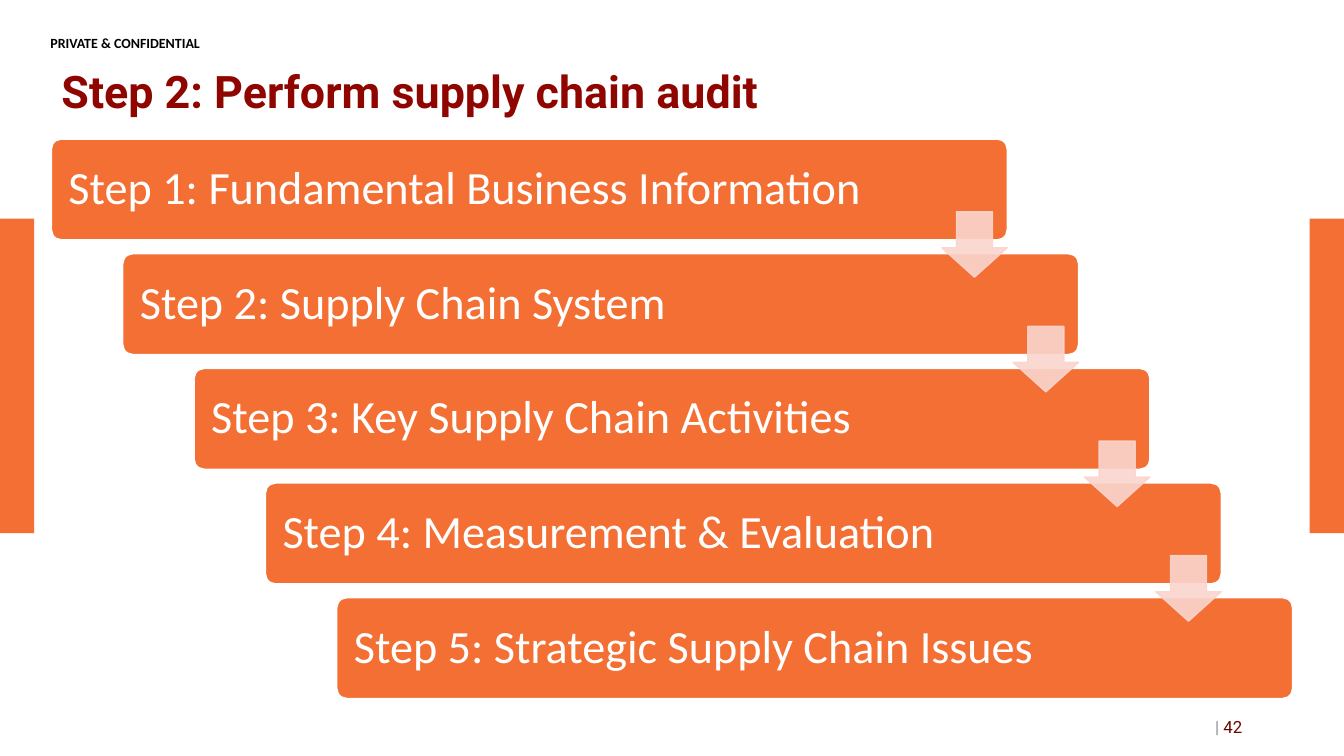
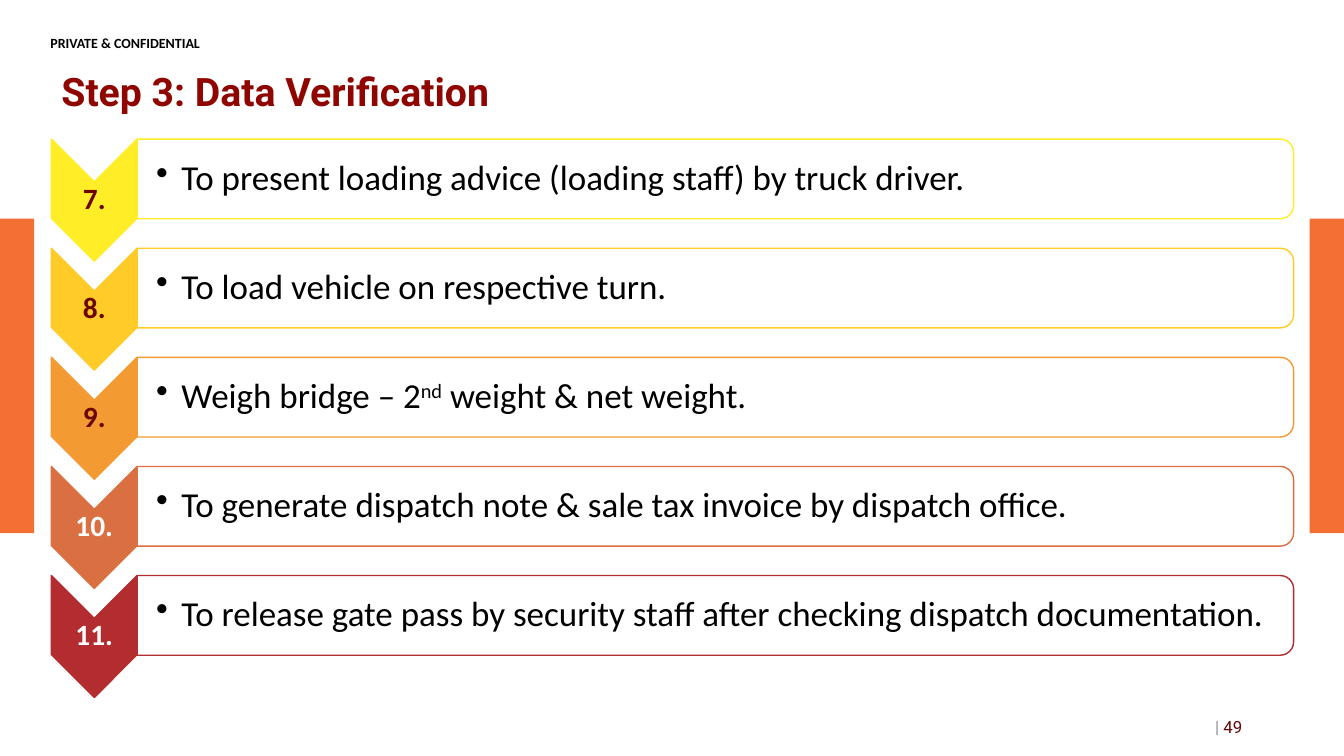
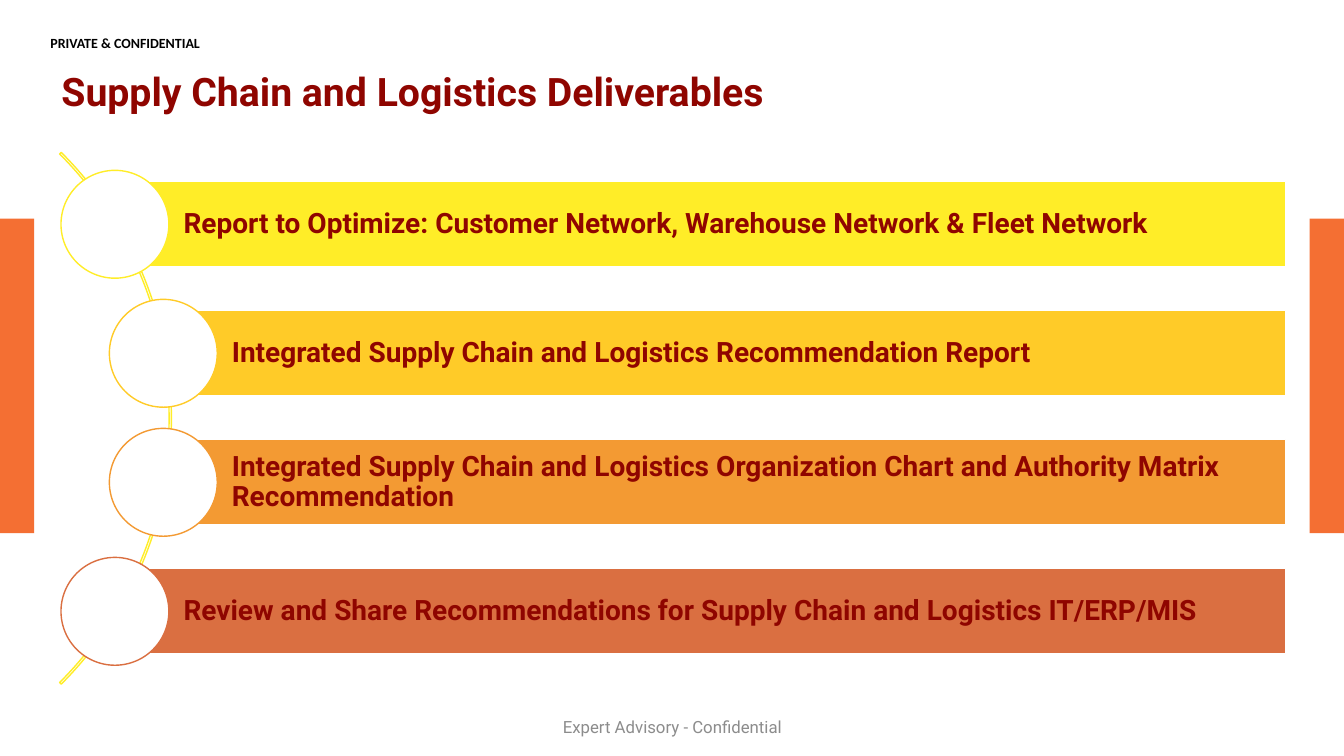
"""Build three supply chain slides that share one layout."""
import dataclasses
import typing

import lxml.etree
import pptx
import pptx.dml.color
import pptx.enum.shapes
import pptx.enum.text
import pptx.oxml.ns
import pptx.util

Inches = pptx.util.Inches
Pt = pptx.util.Pt
Kind = pptx.enum.shapes.MSO_SHAPE
Align = pptx.enum.text.PP_ALIGN
Anchor = pptx.enum.text.MSO_ANCHOR
qualify = pptx.oxml.ns.qn

WHITE, BLACK, GREY = "FFFFFF", "000000", "8C8C8C"
ORANGE, BAR_ORANGE, PINK = "F46F33", "F36F33", "FAD5CE"
RED, MAROON = "8F0500", "6A0500"
YELLOW, GOLD, AMBER, RUST, CRIMSON = "FFED28", "FFCB28", "F39A33", "DA6F41", "B22C30"

TITLE = {"name": "Roboto", "bold": True, "color": RED}
LABEL = {"name": "Calibri", "size": Pt(10), "bold": True, "color": BLACK}
FOOTER = {"name": "Roboto", "size": Pt(12), "color": GREY}
STEP = {"name": "Calibri", "size": Pt(33), "color": WHITE}
NUMBER = {"name": "Calibri", "size": Pt(21), "bold": True}
TASK = {"name": "Calibri", "size": Pt(25), "color": BLACK}
REPORT = {"name": "Roboto", "size": Pt(20), "bold": True, "color": RED}

TIGHT = {"line_spacing": 0.9}
CENTRED = {"line_spacing": 0.9, "alignment": Align.CENTER}


class Area(typing.NamedTuple):
    left: float
    top: float
    width: float
    height: float


class Span(typing.NamedTuple):
    text: str
    color: str = ""
    raised: bool = False


@dataclasses.dataclass
class Task:
    number: str
    spans: list[Span]
    color: str
    number_color: str = MAROON


@dataclasses.dataclass
class Deliverable:
    text: str
    left: float
    color: str


STEPS = [
    "Step 1: Fundamental Business Information",
    "Step 2: Supply Chain System",
    "Step 3: Key Supply Chain Activities",
    "Step 4: Measurement & Evaluation",
    "Step 5: Strategic Supply Chain Issues",
]
TASKS = [
    Task("7.", [Span("To present loading advice (loading staff) by truck driver.")], YELLOW),
    Task("8.", [Span("To load vehicle on respective turn.")], GOLD),
    Task("9.", [Span("Weigh bridge – 2"), Span("nd", raised=True),
                Span(" weight & net weight.")], AMBER),
    Task("10.", [Span("To generate dispatch note & sale tax invoice by dispatch office.")],
         RUST, WHITE),
    Task("11.", [Span("To release gate pass by security staff after checking dispatch "
                      "documentation.")], CRIMSON, WHITE),
]
DELIVERABLES = [
    Deliverable("Report to Optimize: Customer Network, Warehouse Network & Fleet Network",
                1.14, YELLOW),
    Deliverable("Integrated Supply Chain and Logistics Recommendation Report", 1.62, GOLD),
    Deliverable("Integrated Supply Chain and Logistics Organization Chart and Authority "
                "Matrix Recommendation", 1.62, AMBER),
    Deliverable("Review and Share Recommendations for Supply Chain and Logistics IT/ERP/MIS",
                1.14, RUST),
]


def rgb(color: str) -> pptx.dml.color.RGBColor:
    return pptx.dml.color.RGBColor.from_string(color)


def apply(target: typing.Any, values: dict) -> None:
    for name, value in values.items():
        if name == "color":
            target.color.rgb = rgb(value)
        else:
            setattr(target, name, value)


def place(box: typing.Any, area: Area) -> None:
    apply(box, {name: Inches(value) for name, value in area._asdict().items()})


def add_bullet(para: typing.Any) -> None:
    properties = para._p.get_or_add_pPr()
    properties.set("marL", str(Inches(0.25)))
    properties.set("indent", str(-Inches(0.25)))
    bullet = lxml.etree.SubElement(properties, qualify("a:buChar"))
    bullet.set("char", "•")


def write(box: typing.Any, spans: list[Span], font: dict, layout: dict,
          insets: tuple = (0.1, 0.05, 0.1, 0.05), anchor: Anchor = Anchor.MIDDLE,
          bullet: bool = False) -> None:
    frame = box.text_frame
    sides = ("margin_left", "margin_top", "margin_right", "margin_bottom")
    apply(frame, {side: Inches(inset) for side, inset in zip(sides, insets)})
    apply(frame, {"word_wrap": True, "vertical_anchor": anchor,
                  "auto_size": pptx.enum.text.MSO_AUTO_SIZE.NONE})
    para = frame.paragraphs[0]
    if bullet:
        add_bullet(para)
    apply(para, {"alignment": Align.LEFT, **layout})
    for part in spans:
        span = para.add_run()
        span.text = part.text
        apply(span.font, {**font, "color": part.color or font["color"]})
        if part.raised:
            span._r.get_or_add_rPr().set("baseline", "30000")


def add_text(page: typing.Any, area: Area, *details: typing.Any, **options: typing.Any) -> typing.Any:
    box = page.shapes.add_textbox(*map(Inches, area))
    write(box, *details, **options)
    return box


def add_box(page: typing.Any, kind: Kind, area: Area, fill: str = "", line: str = "",
            adjust: tuple = (), turned: bool = False) -> typing.Any:
    box = page.shapes.add_shape(kind, *map(Inches, area))
    if turned:
        shift = (area.width - area.height) / 2
        place(box, Area(area.left + shift, area.top - shift, area.height, area.width))
        box.rotation = 90
    box.shadow.inherit = False
    for index, value in enumerate(adjust):
        box.adjustments[index] = value
    if fill:
        box.fill.solid()
        box.fill.fore_color.rgb = rgb(fill)
    else:
        box.fill.background()
    if line:
        apply(box.line, {"width": Pt(1), "color": line})
    else:
        box.line.fill.background()
    return box


def set_opacity(box: typing.Any, percent: int) -> None:
    for color in box.element.spPr.iter(qualify("a:srgbClr")):
        lxml.etree.SubElement(color, qualify("a:alpha")).set("val", str(percent * 1000))


def furnish_layout(layout: typing.Any, page: typing.Any) -> None:
    bands = [add_box(page, Kind.RECTANGLE, Area(left, 2.17, 0.34, 3.12), ORANGE)
             for left in (0, 12.99)]
    label = add_text(page, Area(0.5, 0.34, 2.53, 0.12), [Span("PRIVATE & CONFIDENTIAL")],
                     LABEL, {}, (0, 0, 0, 0), Anchor.TOP)
    for box in (*bands, label):
        layout.shapes.element.append(box.element)


def add_page(deck: typing.Any, layout: typing.Any, title: str, size: int) -> typing.Any:
    page = deck.slides.add_slide(layout)
    write(page.shapes.title, [Span(title)], {**TITLE, "size": Pt(size)}, TIGHT)
    return page


def add_page_number(page: typing.Any, number: str) -> None:
    add_text(page, Area(9.42, 7.01, 3, 0.4), [Span("| "), Span(number, MAROON)],
             FOOTER, {"alignment": Align.RIGHT})


def draw_audit(page: typing.Any) -> None:
    bars = [Area(0.51 + 2.83 / 4 * index, 1.38 + 4.55 / 4 * index, 9.48, 1)
            for index in range(len(STEPS))]
    for bar, text in zip(bars, STEPS):
        box = add_box(page, Kind.ROUNDED_RECTANGLE, bar, BAR_ORANGE, WHITE, (0.1,))
        write(box, [Span(text)], STEP, TIGHT, (0.14,) * 4)
    side = 0.65
    for bar in bars[:-1]:
        area = Area(bar.left + bar.width - side, bar.top + 0.72, side, side)
        arrow = add_box(page, Kind.DOWN_ARROW, area, PINK, PINK, (0.55, 0.45))
        set_opacity(arrow, 90)
    add_page_number(page, "42")


def draw_verification(page: typing.Any) -> None:
    for index, task in enumerate(TASKS):
        top = 1.38 + 4.33 / 4 * index
        add_box(page, Kind.CHEVRON, Area(0.51, top, 0.85, 1.21), task.color, task.color,
                turned=True)
        add_text(page, Area(0.51, top + 0.42, 0.85, 0.36),
                 [Span(task.number, task.number_color)],
                 {**NUMBER, "color": task.number_color}, CENTRED, (0.01,) * 4)
        add_box(page, Kind.ROUND_2_SAME_RECTANGLE, Area(1.36, top, 11.47, 0.79), WHITE,
                task.color, turned=True)
        add_text(page, Area(1.36, top + 0.04, 11.43, 0.71), task.spans, TASK, TIGHT,
                 (0.19, 0.02, 0.02, 0.02), bullet=True)
    add_page_number(page, "49")


def draw_deliverables(page: typing.Any) -> None:
    add_box(page, Kind.BLOCK_ARC, Area(-5.76, 0.42, 7.46, 7.46), line=YELLOW,
            adjust=(189, 27, 0.003))
    right, height, circle = 12.75, 0.85, 1.07
    for index, item in enumerate(DELIVERABLES):
        top = 1.8 + 1.28 * index
        bar = add_box(page, Kind.RECTANGLE, Area(item.left, top, right - item.left, height),
                      item.color, WHITE)
        write(bar, [Span(item.text)], REPORT, TIGHT, (0.68, 0.06, 0.06, 0.06))
        add_box(page, Kind.OVAL, Area(item.left - circle / 2, top + (height - circle) / 2,
                                      circle, circle), WHITE, item.color)
    add_text(page, Area(4.42, 7.01, 4.5, 0.4), [Span("Expert Advisory - Confidential")],
             FOOTER, {"alignment": Align.CENTER})


def main() -> None:
    deck = pptx.Presentation()
    apply(deck, {"slide_width": Inches(13.33), "slide_height": Inches(7.5)})
    layout = deck.slide_layouts.get_by_name("Title Only")
    place(layout.placeholders[0], Area(0.51, 0.58, 10.86, 0.71))
    audit = add_page(deck, layout, "Step 2: Perform supply chain audit", 32)
    verification = add_page(deck, layout, "Step 3: Data Verification", 28)
    deliverables = add_page(deck, layout, "Supply Chain and Logistics Deliverables", 28)
    furnish_layout(layout, audit)
    draw_audit(audit)
    draw_verification(verification)
    draw_deliverables(deliverables)
    deck.save("out.pptx")


if __name__ == "__main__":
    main()
